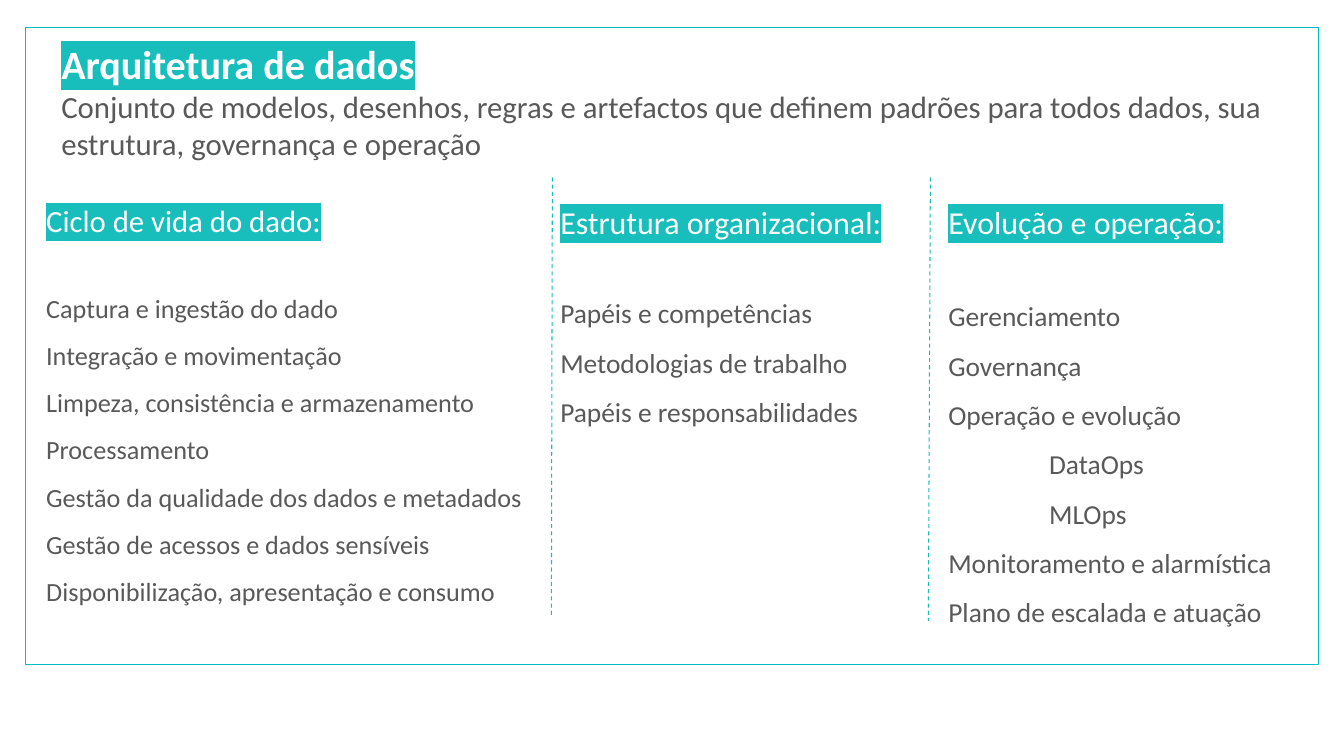
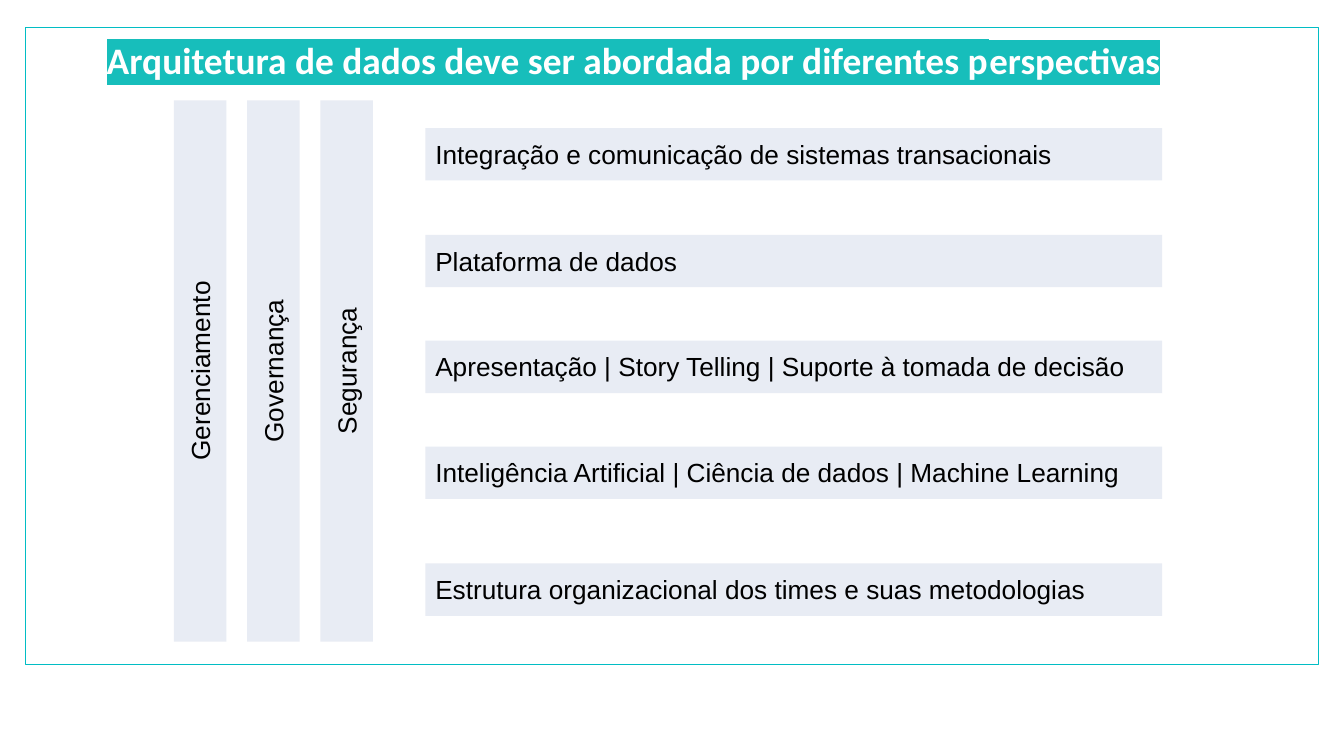
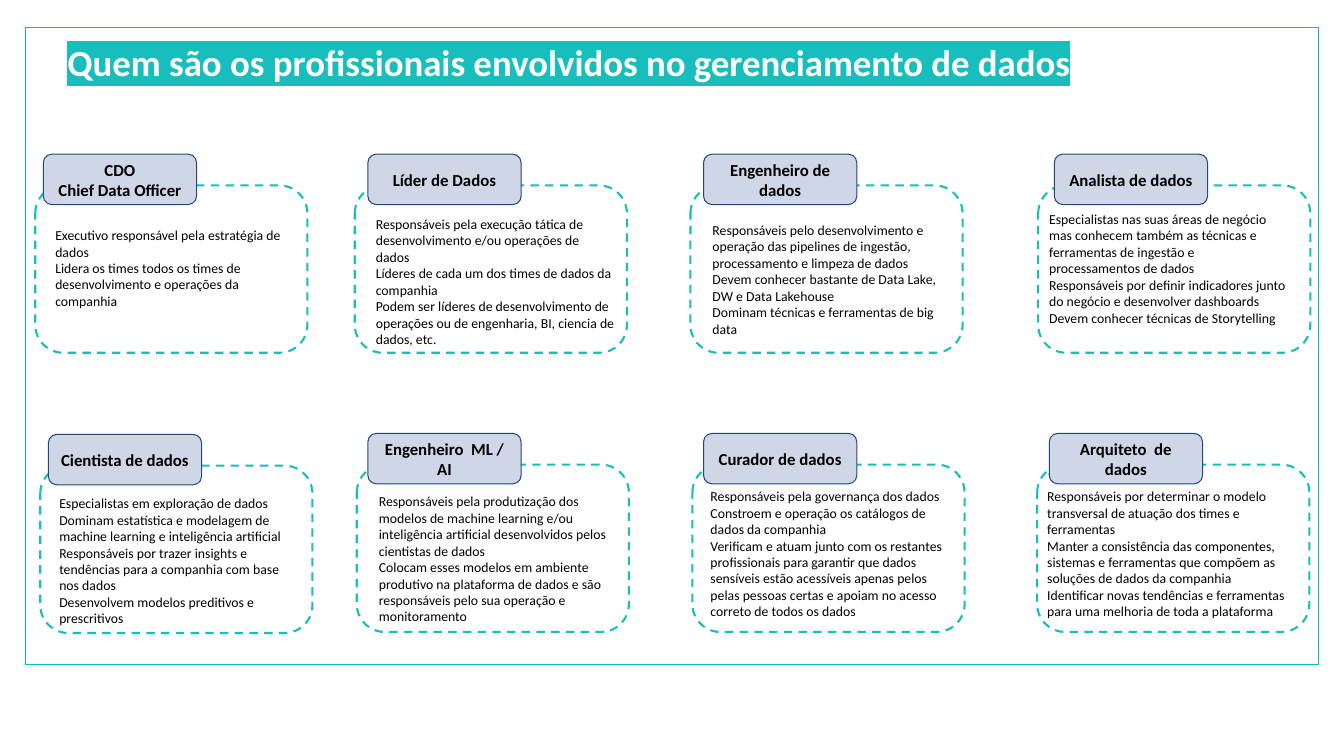
from lxml.etree import SubElement
from pptx import Presentation
from pptx.dml.color import RGBColor
from pptx.enum.dml import MSO_LINE_DASH_STYLE as DASH
from pptx.enum.shapes import MSO_CONNECTOR, MSO_SHAPE as SHAPE
from pptx.enum.text import MSO_ANCHOR as ANCHOR, PP_ALIGN as ALIGN
from pptx.oxml.ns import qn
from pptx.util import Inches, Pt

FRAME = RGBColor(0x01, 0xBD, 0xC4)
TEAL = RGBColor(0x17, 0xBE, 0xBB)
WHITE = RGBColor(0xFF, 0xFF, 0xFF)
GRAY = RGBColor(0x59, 0x59, 0x59)
BLACK = RGBColor(0x00, 0x00, 0x00)
BAR = RGBColor(0xE8, 0xEC, 0xF4)
TAG = RGBColor(0xCF, 0xD7, 0xE7)
NAVY = RGBColor(0x1F, 0x49, 0x7D)
COLS, ROWS = 40, 22.5


def write(tf, text, size=10, color=BLACK, font="Calibri", bold=False, mark=None,
          align=ALIGN.LEFT, spacing=None, before=0, indent=0, join=False):
    p = tf.paragraphs[-1]
    if p.runs and not join:
        p = tf.add_paragraph()
    if not join:
        p.alignment = align
        p.line_spacing = spacing
        if before:
            p.space_before = Pt(before)
        if indent:
            p._p.get_or_add_pPr().set("marL", str(Inches(indent)))
    r = p.add_run()
    r.text = text
    r.font.size, r.font.bold = Pt(size), bold
    r.font.color.rgb = color
    if mark is not None:
        hl = SubElement(r._r.get_or_add_rPr(), qn("a:highlight"))
        SubElement(hl, qn("a:srgbClr")).set("val", str(mark))
    r.font.name = font


class Deck:
    def __init__(self):
        self.prs = Presentation()
        self.prs.slide_width, self.prs.slide_height = Inches(13.33), Inches(7.5)
        self.s = None

    def x(self, cols):
        return int(self.prs.slide_width * cols / COLS)

    def y(self, rows):
        return int(self.prs.slide_height * rows / ROWS)

    def area(self, x, y, w, h):
        return self.x(x), self.y(y), self.x(w), self.y(h)

    def slide(self):
        self.s = self.prs.slides.add_slide(self.prs.slide_layouts[6])
        self.shape(SHAPE.RECTANGLE, 0.75, 0.81, 38.5, 18.96, line=FRAME, width=1)

    def frame(self, tf, pad=0.1):
        tf.word_wrap = True
        tf.margin_left = tf.margin_right = Inches(0.1)
        tf.margin_top = tf.margin_bottom = Inches(pad)
        return tf

    def shape(self, kind, x, y, w, h, fill=None, line=None, width=0.75, dash=None):
        sp = self.s.shapes.add_shape(kind, *self.area(x, y, w, h))
        sp.shadow.inherit = False
        if fill is None:
            sp.fill.background()
        else:
            sp.fill.solid()
            sp.fill.fore_color.rgb = fill
        if line is None:
            sp.line.fill.background()
        else:
            sp.line.color.rgb = line
            sp.line.width = Pt(width)
            sp.line.dash_style = dash
        return sp

    def text(self, x, y, w, h, pad=0.1):
        return self.frame(self.s.shapes.add_textbox(*self.area(x, y, w, h)).text_frame, pad)

    def title(self, x, y, w, h, text, size):
        tf = self.text(x, y, w, h, 0.05)
        write(tf, text, size=size, color=WHITE, bold=True, mark=TEAL)
        return tf

    def topics(self, x, w, h, head, items, head_size, size, gap):
        tf = self.text(x, 5.16, w, h)
        write(tf, head, size=head_size, color=WHITE, mark=TEAL, spacing=1.5)
        for i, item in enumerate(items):
            write(tf, item, size=size, color=GRAY, spacing=1.5,
                  before=0 if i else gap, indent=1 if item in SUBTOPICS else 0)

    def divider(self, x1, y1, x2, y2):
        ln = self.s.shapes.add_connector(MSO_CONNECTOR.STRAIGHT, self.x(x1), self.y(y1),
                                         self.x(x2), self.y(y2))
        ln.line.color.rgb = TEAL
        ln.line.width = Pt(0.75)
        ln.line.dash_style = DASH.DASH
        SubElement(ln._element.spPr, qn("a:effectLst"))

    def bar(self, x, y, w, text, align=ALIGN.LEFT, turn=0):
        sp = self.shape(SHAPE.RECTANGLE, x, y, w, 1.56, fill=BAR)
        sp.rotation = turn
        tf = self.frame(sp.text_frame)
        tf.vertical_anchor = ANCHOR.TOP
        write(tf, text, size=18.7, font="Arial", align=align)

    def card(self, panel, tag_x, body, name, duties):
        px, py = panel
        self.shape(SHAPE.ROUNDED_RECTANGLE, px, py, 8.1, 4.98,
                   line=TEAL, width=1.5, dash=DASH.DASH)
        tag = self.shape(SHAPE.ROUNDED_RECTANGLE, tag_x, py - 0.93, 4.56, 1.5,
                         fill=TAG, line=NAVY)
        tf = self.frame(tag.text_frame)
        tf.vertical_anchor = ANCHOR.MIDDLE
        for part in name:
            write(tf, part, size=12, bold=True, align=ALIGN.CENTER)
        tf = self.text(*body, 4.65)
        for duty in duties:
            write(tf, duty, size=9.8)


SUBTOPICS = ("DataOps", "MLOps")
TOPICS = [
    (1.08, 15.15, 12.99, "Ciclo de vida do dado:",
     ["Captura e ingestão do dado", "Integração e movimentação",
      "Limpeza, consistência e armazenamento", "Processamento",
      "Gestão da qualidade dos dados e metadados", "Gestão de acessos e dados sensíveis",
      "Disponibilização, apresentação e consumo"], 22, 18.7, 27),
    (16.38, 10.62, 7.53, "Estrutura organizacional:",
     ["Papéis e competências", "Metodologias de trabalho", "Papéis e responsabilidades"],
     22.8, 19.6, 28),
    (27.93, 11.73, 13.65, "Evolução e operação:",
     ["Gerenciamento", "Governança", "Operação e evolução", *SUBTOPICS,
      "Monitoramento e alarmística", "Plano de escalada e atuação"], 22.8, 19.6, 30),
]
PILLARS = ["Gerenciamento", "Governança", "Segurança"]
LAYERS = [
    (3.81, "Integração e comunicação de sistemas transacionais"),
    (6.99, "Plataforma de dados"),
    (10.14, "Apresentação | Story Telling | Suporte à tomada de decisão"),
    (13.29, "Inteligência Artificial | Ciência de dados | Machine Learning"),
    (16.77, "Estrutura organizacional dos times e suas metodologias"),
]
CARDS = [
    ((1.05, 5.52), 1.29, (1.35, 6.45, 7.71), ["CDO", "Chief Data Officer"],
     ["Executivo responsável pela estratégia de dados",
      "Lidera os times todos os times de desenvolvimento e operações da companhia"]),
    ((10.56, 5.52), 10.95, (10.89, 6.12, 7.71), ["Líder de Dados"],
     ["Responsáveis pela execução tática de desenvolvimento e/ou operações de dados",
      "Líderes de cada um dos times de dados da companhia",
      "Podem ser líderes de desenvolvimento de operações ou de engenharia, BI, ciencia de dados, etc."]),
    ((20.55, 5.52), 20.94, (20.91, 6.3, 7.71), ["Engenheiro de dados"],
     ["Responsáveis pelo desenvolvimento e operação das pipelines de ingestão, processamento e limpeza de dados",
      "Devem conhecer bastante de Data Lake, DW e Data Lakehouse",
      "Dominam técnicas e ferramentas de big data"]),
    ((30.9, 5.52), 31.38, (30.93, 5.97, 7.71), ["Analista de dados"],
     ["Especialistas nas suas áreas de negócio mas conhecem também as técnicas e ferramentas de ingestão e processamentos de dados",
      "Responsáveis por definir indicadores junto do negócio e desenvolver dashboards",
      "Devem conhecer técnicas de Storytelling"]),
    ((1.2, 13.86), 1.44, (1.47, 14.43, 7.71), ["Cientista de dados"],
     ["Especialistas em exploração de dados",
      "Dominam estatística e modelagem de machine learning e inteligência artificial",
      "Responsáveis por trazer insights e tendências para a companhia com base nos dados",
      "Desenvolvem modelos preditivos e prescritivos"]),
    ((10.62, 13.83), 10.95, (10.98, 14.37, 7.71), ["Engenheiro  ML / AI"],
     ["Responsáveis pela produtização dos modelos de machine learning e/ou inteligência artificial desenvolvidos pelos cientistas de dados",
      "Colocam esses modelos em ambiente produtivo na plataforma de dados e são responsáveis pelo sua operação e monitoramento"]),
    ((20.61, 13.83), 20.94, (20.85, 14.22, 7.71), ["Curador de dados"],
     ["Responsáveis pela governança dos dados",
      "Constroem e operação os catálogos de dados da companhia",
      "Verificam e atuam junto com os restantes profissionais para garantir que dados sensíveis estão acessíveis apenas pelos pelas pessoas certas e apoiam no acesso correto de todos os dados"]),
    ((30.87, 13.83), 31.23, (30.87, 14.22, 8.34), ["Arquiteto  de dados"],
     ["Responsáveis por determinar o modelo transversal de atuação dos times e ferramentas",
      "Manter a consistência das componentes, sistemas e ferramentas que compõem as soluções de dados da companhia",
      "Identificar novas tendências e ferramentas para uma melhoria de toda a plataforma"]),
]


def main():
    deck = Deck()

    deck.slide()
    tf = deck.title(1.53, 1.02, 37.2, 3.99, "Arquitetura de dados", 28.7)
    write(tf, "Conjunto de modelos, desenhos, regras e artefactos que definem padrões para "
              "todos dados, sua estrutura, governança e operação", size=22, color=GRAY)
    for topic in TOPICS:
        deck.topics(*topic)
    deck.divider(16.44, 5.28, 16.41, 18.36)
    deck.divider(27.69, 5.28, 27.63, 18.48)

    deck.slide()
    tf = deck.title(2.88, 0.96, 34.11, 1.68,
                    "Arquitetura de dados deve ser abordada por diferentes p", 26.7)
    write(tf, "erspectivas", size=26.3, color=WHITE, bold=True, mark=TEAL, join=True)
    for top, text in LAYERS:
        deck.bar(12.66, top, 21.93, text)
    for i, text in enumerate(PILLARS):
        deck.bar(-2.1 + 2.18 * i, 10.26, 16.11, text, align=ALIGN.CENTER, turn=270)

    deck.slide()
    deck.title(1.71, 1.02, 36.66, 1.62,
               "Quem são os profissionais envolvidos no gerenciamento de dados", 26.3)
    for card in CARDS:
        deck.card(*card)

    deck.prs.save("out.pptx")


if __name__ == "__main__":
    main()
